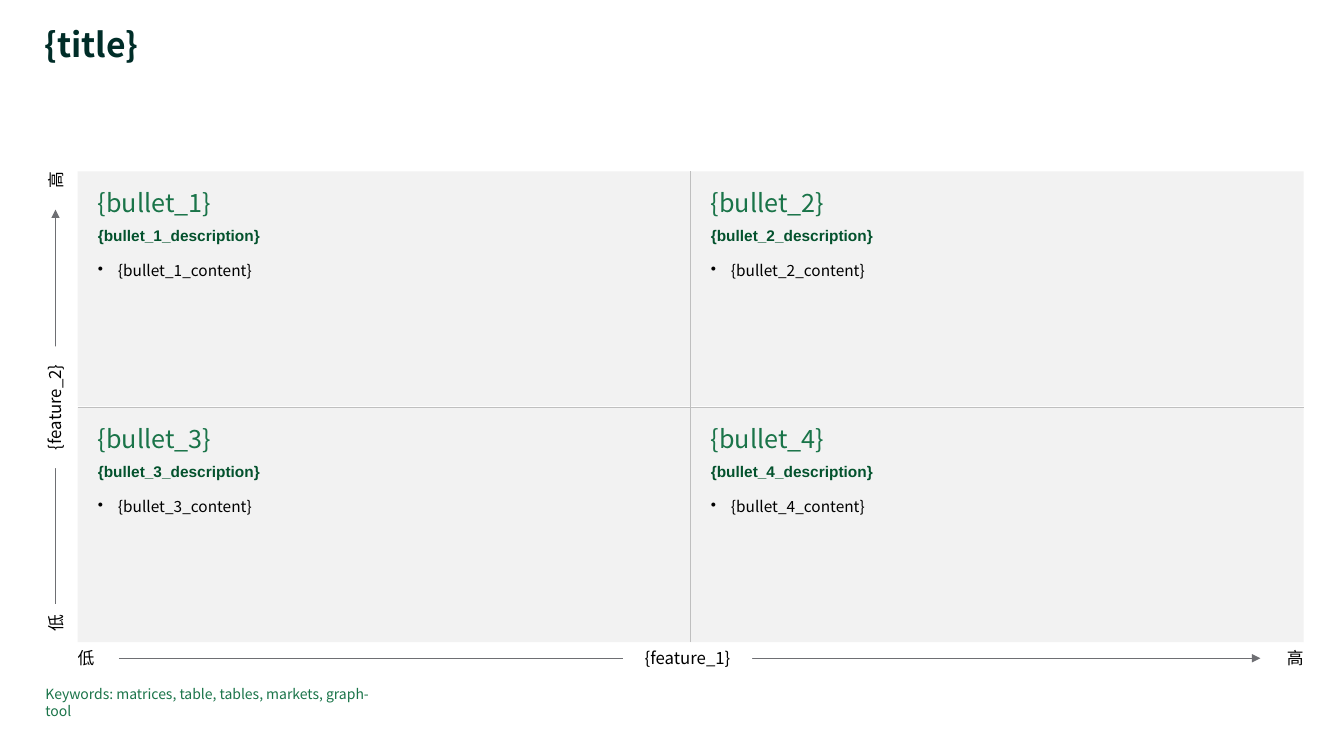
from dataclasses import dataclass

from lxml.etree import SubElement
from pptx import Presentation
from pptx.dml.color import RGBColor
from pptx.enum.shapes import MSO_CONNECTOR as Connector, MSO_SHAPE as Shape
from pptx.enum.text import MSO_ANCHOR as Anchor, PP_ALIGN as Align
from pptx.oxml.ns import qn
from pptx.util import Emu, Pt

EMU_PER_PX = 9144  # 100 px to the inch


@dataclass(frozen=True)
class Theme:
    font: str = "Noto Sans CJK JP"
    bold_font: str = "Arial"
    title: str = "002D28"
    heading: str = "1A7449"
    description: str = "03522D"
    text: str = "000000"
    panel: str = "F2F2F2"
    background: str = "FFFFFF"
    divider: str = "BFBFBF"
    axis: str = "6E6F73"
    title_size: int = 24
    heading_size: int = 18
    axis_size: int = 12
    body_size: int = 11
    note_size: int = 10
    line_width: float = 0.5


def px(length):
    return Emu(length * EMU_PER_PX)


class MatrixSlide:
    def __init__(self, presentation, theme):
        self.theme = theme
        self.slide = presentation.slides.add_slide(presentation.slide_layouts[6])
        self.shapes = self.slide.shapes

    def frame(self, shape, insets=(0, 0, 0, 0), anchor=Anchor.TOP):
        frame = shape.text_frame
        frame.word_wrap = True
        frame.vertical_anchor = anchor
        frame.margin_left, frame.margin_top, frame.margin_right, frame.margin_bottom = map(px, insets)
        return frame

    def style(self, paragraph, text, size, color, bold=False, font=None,
              align=Align.LEFT, before=0, after=0):
        paragraph.text = text
        paragraph.alignment = align
        paragraph.space_before, paragraph.space_after = Pt(before), Pt(after)
        paragraph.font.name = font or self.theme.font
        paragraph.font.size = Pt(size)
        paragraph.font.bold = bold
        paragraph.font.color.rgb = RGBColor.from_string(color)
        defaults = paragraph._p.get_or_add_pPr().get_or_add_defRPr()
        SubElement(defaults, qn("a:ea"), typeface=self.theme.font)

    def bullet(self, paragraph, indent):
        properties = paragraph._p.get_or_add_pPr()
        properties.set("marL", str(px(indent)))
        properties.set("indent", str(-px(indent)))
        mark = properties.makeelement(qn("a:buChar"), {"char": "•"})
        properties.find(qn("a:defRPr")).addprevious(mark)

    def rectangle(self, box, fill):
        shape = self.shapes.add_shape(Shape.RECTANGLE, *map(px, box))
        shape.shadow.inherit = False
        shape.fill.solid()
        shape.fill.fore_color.rgb = RGBColor.from_string(fill)
        shape.line.fill.background()
        return shape

    def text(self, box, text, size, color, **options):
        shape = self.shapes.add_textbox(*map(px, box))
        paragraph = self.frame(shape).paragraphs[0]
        self.style(paragraph, text, size, color, **options)
        return paragraph

    def quadrant(self, box, number):
        theme = self.theme
        frame = self.frame(self.rectangle(box, theme.panel), (20, 16, 20, 0))
        name = f"bullet_{number}"
        self.style(frame.paragraphs[0], f"{{{name}}}", theme.heading_size, theme.heading, after=6)
        self.style(frame.add_paragraph(), f"{{{name}_description}}", theme.body_size,
                   theme.description, bold=True, font=theme.bold_font, after=12)
        content = frame.add_paragraph()
        self.style(content, f"{{{name}_content}}", theme.body_size, theme.text, after=6)
        self.bullet(content, 20)

    def axis_label(self, box, text, align=Align.CENTER, rotation=0, filled=False):
        if filled:
            shape = self.rectangle(box, self.theme.background)
        else:
            shape = self.shapes.add_textbox(*map(px, box))
        shape.rotation = rotation
        paragraph = self.frame(shape, anchor=Anchor.MIDDLE).paragraphs[0]
        self.style(paragraph, text, self.theme.axis_size, self.theme.text, align=align, before=3)
        return shape

    def line(self, start, end, color):
        line = self.shapes.add_connector(Connector.STRAIGHT, *map(px, start + end))
        line.line.color.rgb = RGBColor.from_string(color)
        line.line.width = Pt(self.theme.line_width)
        SubElement(line._element.spPr, qn("a:effectLst"))
        return line

    def axis_arrow(self, start, end, low, high):
        arrow = self.line(start, end, self.theme.axis)
        SubElement(arrow.line._get_or_add_ln(), qn("a:tailEnd"), type="triangle")
        arrow.begin_connect(low, 3)
        arrow.end_connect(high, 1)
        # Joining ignores label rotation, so restore the ends
        arrow.begin_x, arrow.begin_y = map(px, start)
        arrow.end_x, arrow.end_y = map(px, end)


def main():
    presentation = Presentation()
    presentation.slide_width, presentation.slide_height = px(1333), px(750)
    theme = Theme()
    matrix = MatrixSlide(presentation, theme)

    # Quadrants
    left, top, width, height = 77, 170, 608, 234
    middle_x, middle_y = left + width, top + height
    right, bottom = left + 2 * width, top + 2 * height - 1
    for index in range(4):
        row, column = divmod(index, 2)
        box = (left + column * width, top + row * height, width, height - 1)
        matrix.quadrant(box, index + 1)

    # Title and keywords
    title = matrix.text((44, 28, 1103, 37), "{title}", theme.title_size, theme.title, bold=True)
    title.line_spacing = 0.9
    matrix.text((45, 680, 325, 17), "Keywords: matrices, table, tables, markets, graph-tool",
                theme.note_size, theme.heading)

    # Dividers
    matrix.line((middle_x, top), (middle_x, bottom), theme.divider)
    matrix.line((right, middle_y), (left, middle_y), theme.divider)

    # Vertical axis
    high = matrix.axis_label((36, 179, 38, 20), "高", Align.RIGHT, 270)
    low = matrix.axis_label((36, 608, 38, 20), "低", rotation=270)
    matrix.axis_arrow((55, 599), (55, 208), low, high)
    matrix.axis_label((-6, 394, 121, 20), "{feature_2}", rotation=270, filled=True)

    # Horizontal axis
    low = matrix.axis_label((left, 643, 41, 20), "低", Align.LEFT)
    high = matrix.axis_label((1250, 643, 43, 20), "高", Align.RIGHT)
    matrix.axis_arrow((118, 653), (1250, 653), low, high)
    matrix.axis_label((618, 643, 128, 20), "{feature_1}", filled=True)

    presentation.save("out.pptx")


if __name__ == "__main__":
    main()
